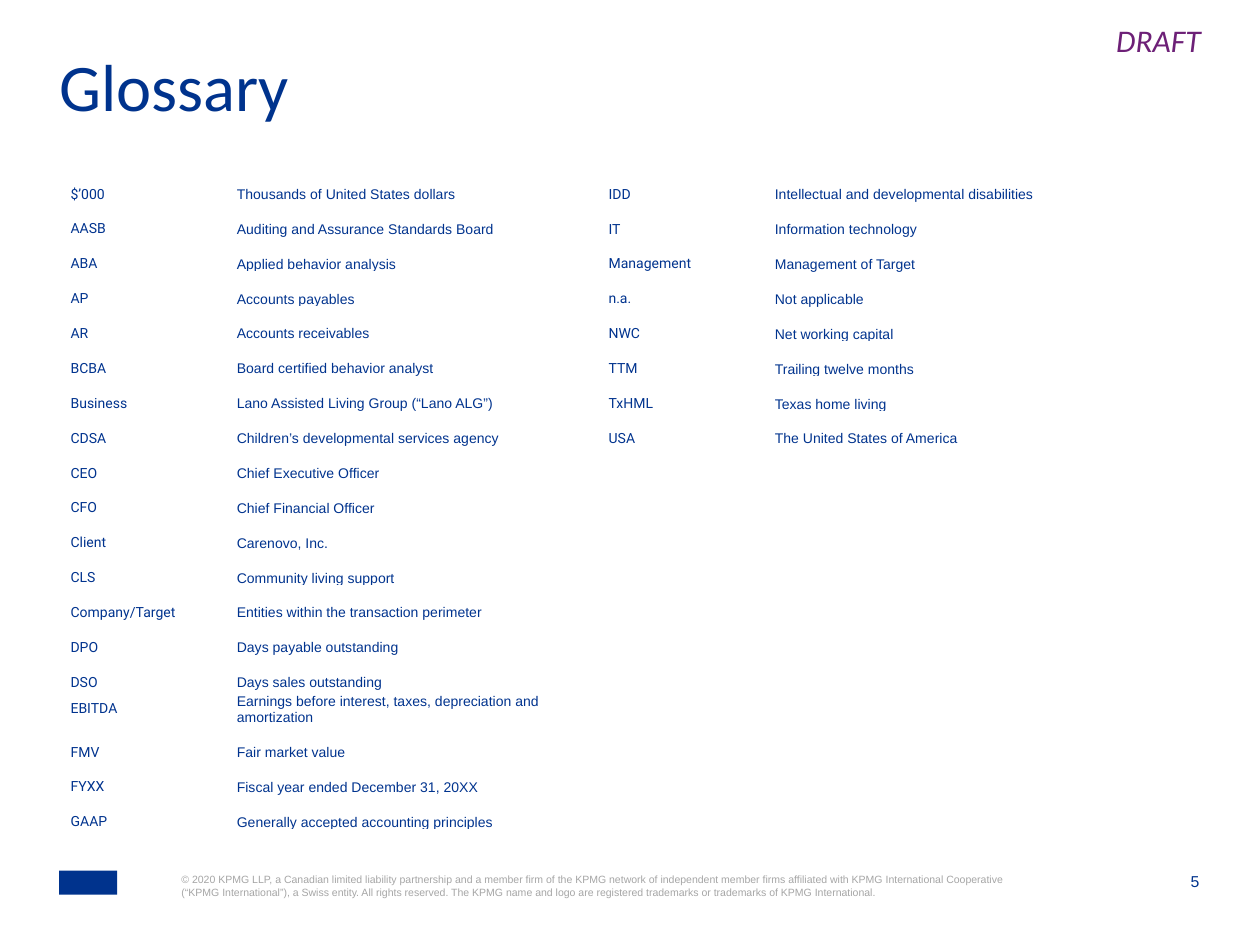
"""Build the glossary slide."""
from dataclasses import dataclass

from lxml import etree
from pptx import Presentation
from pptx.dml.color import RGBColor
from pptx.enum.shapes import MSO_SHAPE
from pptx.enum.text import MSO_ANCHOR, PP_ALIGN
from pptx.oxml.ns import qn
from pptx.util import Inches, Pt

TOP, MIDDLE, BOTTOM = MSO_ANCHOR.TOP, MSO_ANCHOR.MIDDLE, MSO_ANCHOR.BOTTOM
LEFT, RIGHT = PP_ALIGN.LEFT, PP_ALIGN.RIGHT
RECTANGLE = MSO_SHAPE.RECTANGLE


@dataclass(frozen=True)
class Theme:
    """Colours, fonts and type sizes."""

    navy: str = "00338D"
    entry: str = "00338E"
    purple: str = "6D2077"
    grey: str = "A6A6A6"
    white: str = "FFFFFF"
    heading_font: str = "Calibri"
    term_font: str = "Roboto"
    body_font: str = "Arial"
    title_size: int = 38
    draft_size: int = 18
    number_size: int = 9
    entry_size: int = 8
    legal_size: int = 6


class GlossarySlide:
    """Holds the theme and the slide, and adds elements to it."""

    def __init__(self, slide, theme):
        self.slide = slide
        self.theme = theme

    def run(self, paragraph, text, font, size, color, italic=None):
        run = paragraph.add_run()
        run.text = text
        run.font.name = font
        run.font.size = Pt(size)
        run.font.italic = italic
        run.font.color.rgb = RGBColor.from_string(color)

    def text(self, box, text, font, size, color, align=LEFT, anchor=TOP,
             spacing=None, italic=None):
        frame = self.slide.shapes.add_textbox(*map(Inches, box)).text_frame
        frame.word_wrap = True
        frame.vertical_anchor = anchor
        frame.margin_left = frame.margin_right = 0
        frame.margin_top = frame.margin_bottom = 0
        paragraph = frame.paragraphs[0]
        paragraph.alignment = align
        paragraph.line_spacing = spacing
        self.run(paragraph, text, font, size, color, italic)

    def block(self, box, color):
        block = self.slide.shapes.add_shape(RECTANGLE, *map(Inches, box))
        block.shadow.inherit = False
        block.fill.solid()
        block.fill.fore_color.rgb = RGBColor.from_string(color)
        block.line.fill.background()

    def cell(self, cell, text, font, anchor, filled):
        cell.margin_left = cell.margin_right = cell.margin_top = Inches(0.01)
        cell.margin_bottom = 0
        cell.vertical_anchor = anchor
        if filled:
            cell.fill.solid()
            cell.fill.fore_color.rgb = RGBColor.from_string(self.theme.white)
        else:
            cell.fill.background()
        paragraph = cell.text_frame.paragraphs[0]
        if text:
            self.run(paragraph, text, font, self.theme.entry_size, self.theme.entry)
        else:
            etree.SubElement(paragraph._p, qn("a:endParaRPr"),
                             sz=str(self.theme.entry_size * 100))

    def glossary(self, left, height, entries, row_count, clear_rows, middle_terms=()):
        table = self.slide.shapes.add_table(
            row_count, 2, Inches(left), Inches(1.33), Inches(4.08), Inches(height)).table
        table.first_row = table.horz_banding = False
        for column, width in zip(table.columns, (1.32, 2.76)):
            column.width = Inches(width)
        padded = entries + [("", "")] * (row_count - len(entries))
        for index, (term, meaning) in enumerate(padded):
            table.rows[index].height = Inches(height / row_count)
            filled = index not in clear_rows
            anchor = MIDDLE if term in middle_terms else BOTTOM
            self.cell(table.cell(index, 0), term, self.theme.term_font, anchor, filled)
            self.cell(table.cell(index, 1), meaning, self.theme.body_font, BOTTOM, filled)


FIRST_ENTRIES = [
    ("$’000", "Thousands of United States dollars"),
    ("AASB", "Auditing and Assurance Standards Board"),
    ("ABA", "Applied behavior analysis"),
    ("AP", "Accounts payables"),
    ("AR", "Accounts receivables"),
    ("BCBA", "Board certified behavior analyst"),
    ("Business", "Lano Assisted Living Group (“Lano ALG”)"),
    ("CDSA", "Children’s developmental services agency"),
    ("CEO", "Chief Executive Officer"),
    ("CFO", "Chief Financial Officer"),
    ("Client", "Carenovo, Inc."),
    ("CLS", "Community living support"),
    ("Company/Target", "Entities within the transaction perimeter"),
    ("DPO", "Days payable outstanding"),
    ("DSO", "Days sales outstanding"),
    ("EBITDA", "Earnings before interest, taxes, depreciation and amortization"),
    ("FMV", "Fair market value"),
    ("FYXX", "Fiscal year ended December 31, 20XX"),
    ("GAAP", "Generally accepted accounting principles"),
]
SECOND_ENTRIES = [
    ("IDD", "Intellectual and developmental disabilities"),
    ("IT", "Information technology"),
    ("Management", "Management of Target"),
    ("n.a.", "Not applicable"),
    ("NWC", "Net working capital"),
    ("TTM", "Trailing twelve months"),
    ("TxHML", "Texas home living"),
    ("USA", "The United States of America"),
]
LEGAL = (
    "© 2020 KPMG LLP, a Canadian limited liability partnership and a member firm of the "
    "KPMG network of independent member firms affiliated with KPMG International "
    "Cooperative (“KPMG International”), a Swiss entity. All rights reserved. The KPMG "
    "name and logo are registered trademarks or trademarks of KPMG International."
)


def main():
    presentation = Presentation()
    presentation.slide_width, presentation.slide_height = Inches(10), Inches(7.5)
    theme = Theme()
    page = GlossarySlide(
        presentation.slides.add_slide(presentation.slide_layouts[6]), theme)

    page.block((0.47, 6.91, 0.46, 0.19), theme.navy)
    page.text((9.15, 6.91, 0.37, 0.16), "5", theme.body_font, theme.number_size,
              theme.navy, align=RIGHT, anchor=BOTTOM)
    page.text((1.44, 6.93, 6.6, 0.2), LEGAL, theme.body_font, theme.legal_size, theme.grey)
    page.text((0.47, 0.25, 9.06, 0.17), "DRAFT", theme.heading_font, theme.draft_size,
              theme.purple, align=RIGHT, spacing=0.7, italic=True)
    page.text((0.47, 0.53, 9.06, 0.8), "Glossary", theme.heading_font, theme.title_size,
              theme.navy, spacing=0.7)
    page.glossary(0.55, 5.26, FIRST_ENTRIES, 19, range(19), middle_terms=("EBITDA",))
    page.glossary(4.82, 4.99, SECOND_ENTRIES, 18, range(2, 8))

    presentation.save("out.pptx")


if __name__ == "__main__":
    main()
